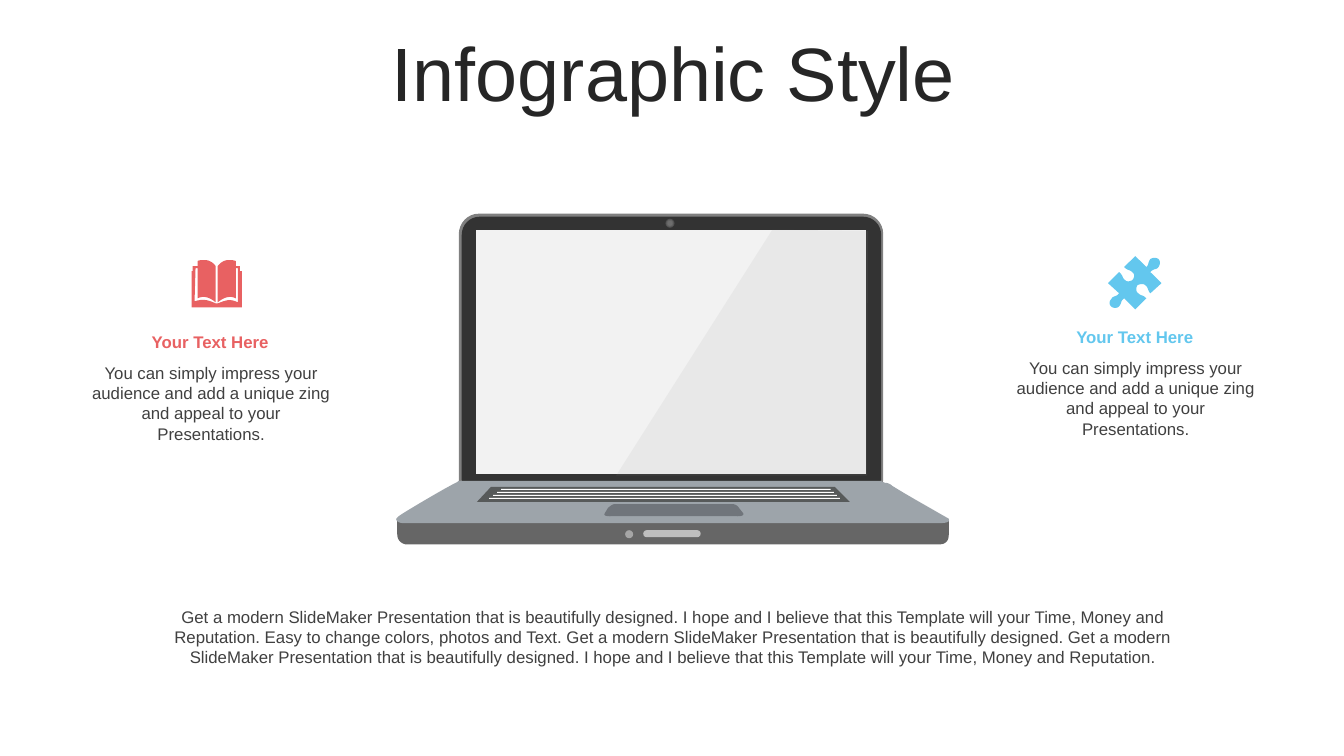
from lxml.etree import SubElement
from pptx import Presentation
from pptx.dml.color import RGBColor
from pptx.enum.shapes import MSO_SHAPE as Preset
from pptx.enum.text import MSO_ANCHOR as Anchor, PP_ALIGN as Align
from pptx.oxml.ns import qn
from pptx.util import Pt

PX = 9144
CURVE_STEPS = 8
THEME = {
    "font": "Arial", "title_size": 54, "text_size": 12,
    "title": "262626", "text": "404040", "red": "E86162", "blue": "63C7EE",
    "rim": "808080", "bezel": "333333", "screen": "F2F2F2", "glare": "999999",
    "front": "666666", "deck": "9DA4AA", "touchpad": "70757B", "keyboard": "575A5A",
    "stripe": "FFFFFF", "slot": "BFBFBF", "button": "A6A6A6",
}


def add_text(text, left, top, width, height, color="text", size="text_size",
             bold=False, anchor=Anchor.TOP, spacing=1.0):
    box = page.shapes.add_textbox(left * PX, top * PX, width * PX, height * PX)
    frame = box.text_frame
    frame.word_wrap = True
    frame.vertical_anchor = anchor
    para = frame.paragraphs[0]
    para.alignment = Align.CENTER
    para.line_spacing = spacing
    span = para.add_run()
    span.text = text
    span.font.name = THEME["font"]
    span.font.size = Pt(THEME[size])
    span.font.bold = bold
    span.font.color.rgb = RGBColor.from_string(THEME[color])


def add_outline(shapes, steps):
    points = [steps[0]]
    for step in steps[1:]:
        if len(step) == 2:
            points.append(step)
            continue
        x0, y0 = points[-1]
        x1, y1, x2, y2, x3, y3 = step
        for index in range(1, CURVE_STEPS + 1):
            t = index / CURVE_STEPS
            a, b, c, d = (1 - t) ** 3, 3 * t * (1 - t) ** 2, 3 * t * t * (1 - t), t ** 3
            points.append((a * x0 + b * x1 + c * x2 + d * x3,
                           a * y0 + b * y1 + c * y2 + d * y3))
    corners = [(x * PX, y * PX) for x, y in points]
    builder = shapes.build_freeform(*corners[0], scale=1.0)
    builder.add_line_segments(corners[1:], close=True)
    return builder.convert_to_shape()


RIM = [(871, 482), (460, 482), (458, 482, 455, 479, 455, 477), (455, 233),
       (455, 221, 464, 212, 475, 212), (856, 212), (867, 212, 876, 221, 876, 232),
       (876, 476), (876, 479, 873, 482, 871, 482)]
BEZEL = [(868, 481), (463, 481), (460, 481, 458, 479, 458, 476), (458, 233),
         (458, 223, 466, 215, 476, 215), (856, 215), (866, 215, 874, 223, 874, 233),
         (874, 476), (873, 479, 871, 481, 868, 481)]
FRONT = [(941, 531), (941, 540, 933, 540, 933, 540), (402, 540),
         (397, 539, 394, 535, 394, 530), (394, 517), (941, 516)]
DECK = [(931, 519), (400, 519), (400, 519, 396, 519, 394, 517),
        (392, 515, 393, 514, 397, 511), (406, 505, 442, 484, 452, 479),
        (454, 478, 455, 477, 455, 477), (873, 477), (873, 477, 874, 477, 875, 478),
        (876, 478, 877, 479, 878, 479), (880, 479, 883, 480, 885, 482),
        (894, 488, 940, 514, 940, 514), (940, 514, 941, 514, 941, 515),
        (942, 517, 941, 519, 931, 519)]
TOUCHPAD = [(610, 500), (608, 500, 605, 502, 603, 504), (600, 509),
            (600, 509, 596, 513, 609, 512), (728, 512), (740, 513, 737, 509, 737, 509),
            (733, 504), (732, 502, 729, 500, 726, 500)]
PUZZLE = [(1149, 257), (1151, 259, 1151, 262, 1149, 265), (1147, 268, 1144, 266, 1141, 270),
          (1152, 281), (1141, 291), (1138, 288, 1139, 285, 1136, 283),
          (1134, 281, 1130, 282, 1128, 283), (1127, 285, 1126, 289, 1129, 291),
          (1132, 294, 1133, 292, 1137, 296), (1126, 307), (1115, 296),
          (1111, 299, 1113, 300, 1110, 304), (1108, 306, 1104, 306, 1102, 304),
          (1100, 302, 1100, 299, 1102, 297), (1104, 293, 1107, 295, 1110, 291),
          (1099, 281), (1110, 270), (1114, 273, 1113, 276, 1116, 278),
          (1118, 280, 1121, 279, 1123, 278), (1125, 276, 1126, 272, 1123, 270),
          (1120, 267, 1119, 269, 1115, 265), (1126, 254), (1137, 265),
          (1140, 262, 1138, 261, 1141, 257), (1144, 255, 1148, 256, 1149, 257)]
BOOK = [(214, 301), (216, 301), (224, 298, 228, 296, 236, 300), (236, 266), (234, 266),
        (234, 296), (228, 293, 222, 295, 216, 300), (216, 264),
        (219, 260, 223, 258, 227, 258), (229, 258, 231, 258, 234, 259), (234, 264),
        (238, 264), (238, 269), (240, 269), (240, 305), (190, 305), (190, 269),
        (191, 269), (191, 264), (196, 264), (196, 259), (198, 258, 201, 258, 203, 258),
        (207, 258, 211, 260, 214, 264), (214, 300), (208, 295, 202, 293, 196, 296),
        (196, 266), (194, 266), (193, 299), (202, 296, 207, 298, 214, 301)]

deck = Presentation()
deck.slide_width, deck.slide_height = 1333 * PX, 750 * PX
page = deck.slides.add_slide(deck.slide_layouts[6])
laptop = page.shapes.add_group_shape().shapes

outlines = [
    (laptop, RIM, "rim", 100),
    (laptop, BEZEL, "bezel", 100),
    (laptop, [(472, 228), (859, 228), (859, 470), (472, 470)], "screen", 100),
    (laptop, FRONT, "front", 100),
    (laptop, DECK, "deck", 100),
    (laptop, TOUCHPAD, "touchpad", 100),
    (laptop, [(843, 498), (473, 498), (487, 483), (828, 483)], "keyboard", 100),
    (laptop, [(766, 228), (861, 229), (860, 472), (611, 472)], "glare", 10),
    (page.shapes, PUZZLE, "blue", 100),
    (page.shapes, BOOK, "red", 100),
]
stripes = [(Preset.RECTANGLE, 485 + 4 * row, 494 - 3 * row, 348 - 7 * row, 1, "stripe", 100)
           for row in range(4)]
camera = [(Preset.OVAL, 660 + ring, 217 + ring, 9 - 2 * ring, 9 - 2 * ring, "rim", 40)
          for ring in range(3)]
controls = [(Preset.ROUNDED_RECTANGLE, 638, 526, 57, 7, "slot", 100),
            (Preset.OVAL, 620, 526, 8, 8, "button", 100)]

pieces = [(add_outline(shapes, steps), color, opacity)
          for shapes, steps, color, opacity in outlines]
for preset, left, top, width, height, color, opacity in stripes + camera + controls:
    shape = laptop.add_shape(preset, left * PX, top * PX, width * PX, height * PX)
    if preset == Preset.ROUNDED_RECTANGLE:
        shape.adjustments[0] = 0.5
    pieces.append((shape, color, opacity))

for shape, color, opacity in pieces:
    shape.shadow.inherit = False
    shape.line.fill.background()
    shape.fill.solid()
    shape.fill.fore_color.rgb = RGBColor.from_string(THEME[color])
    if opacity < 100:
        tint = shape._element.spPr.find(qn("a:solidFill"))[0]
        SubElement(tint, qn("a:alpha")).set("val", str(opacity * 1000))

add_text("Infographic Style", 35, 37, 1266, 79, color="title", size="title_size",
         anchor=Anchor.MIDDLE, spacing=0.9)
for left, top, color in [(78, 324, "red"), (995, 319, "blue")]:
    add_text("Your Text Here", left, top, 261, 30, color=color, bold=True)
    add_text("You can simply impress your audience and add a unique zing "
             "and appeal to your Presentations.", left, top + 31, 263, 91)
add_text("Get a modern SlideMaker Presentation that is beautifully designed. "
         "I hope and I believe that this Template will your Time, Money and Reputation. "
         "Easy to change colors, photos and Text. "
         "Get a modern SlideMaker Presentation that is beautifully designed. "
         "Get a modern SlideMaker Presentation that is beautifully designed. "
         "I hope and I believe that this Template will your Time, Money and Reputation.",
         155, 597, 1026, 71)

deck.save("out.pptx")
